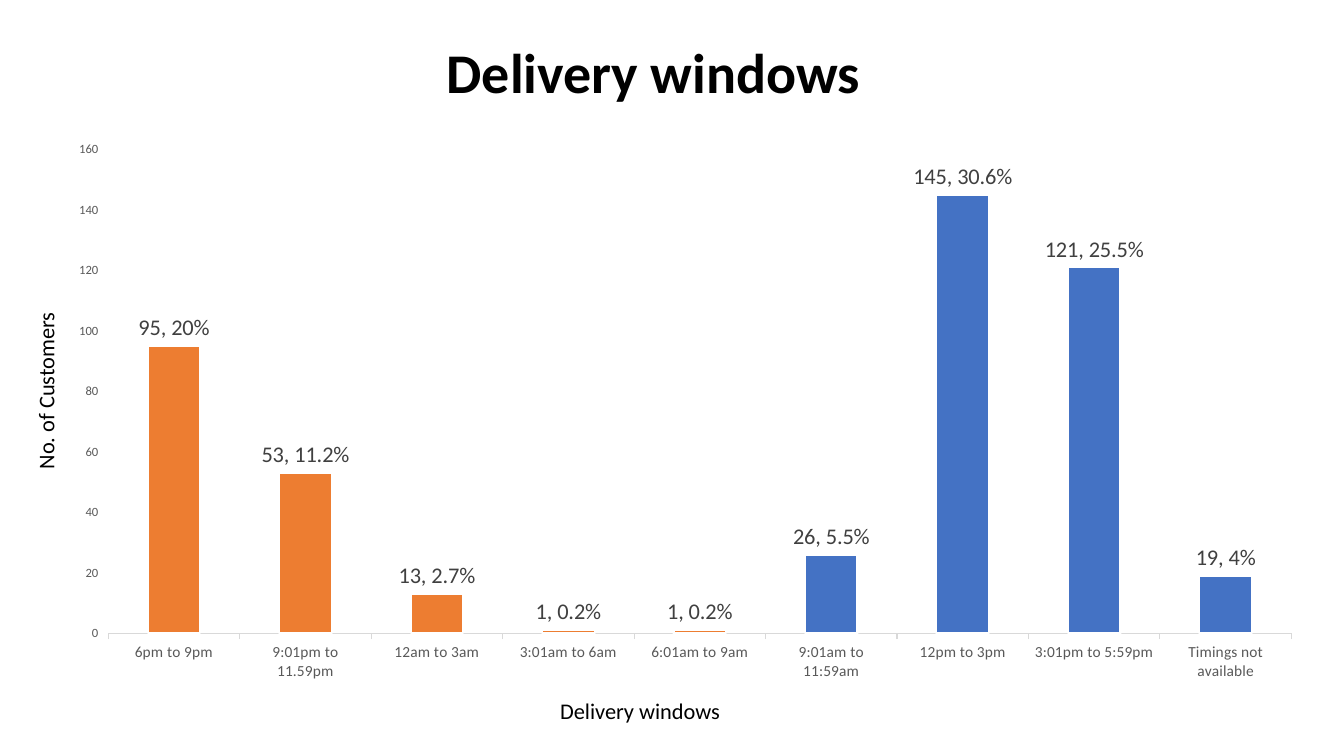
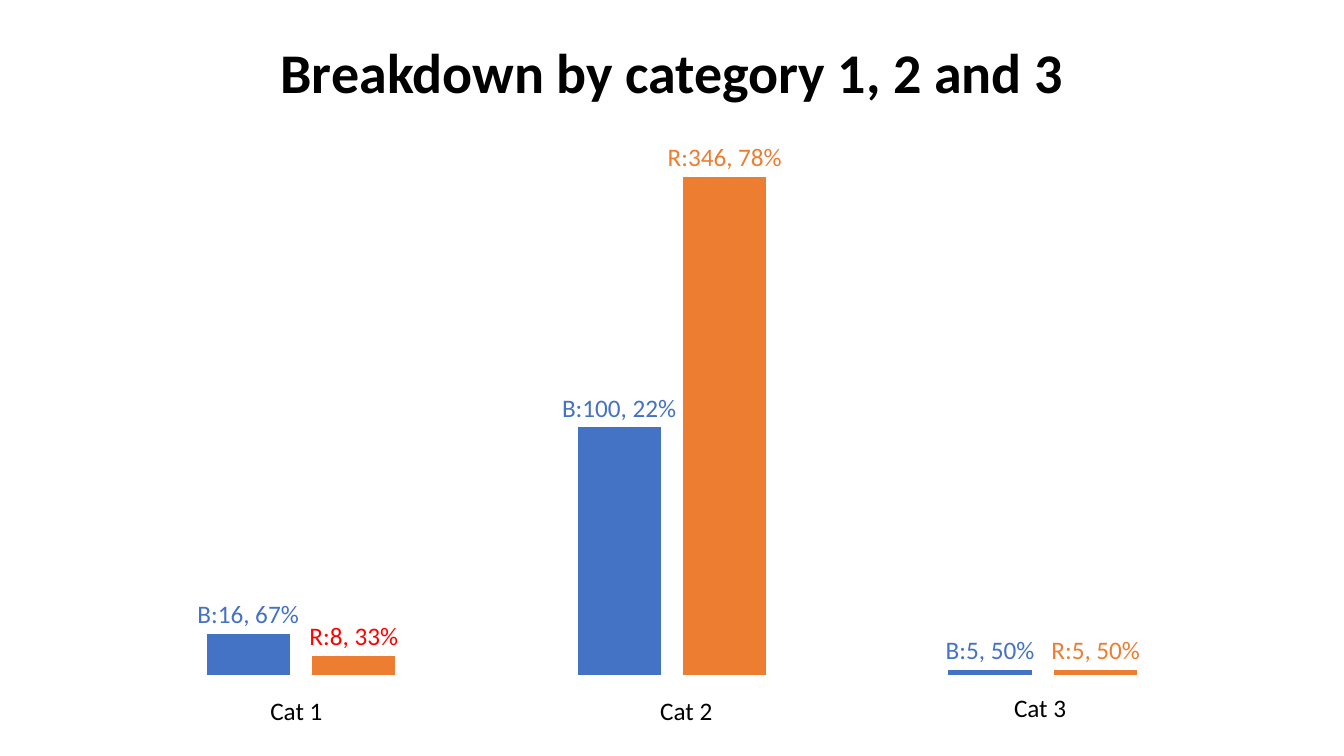
from pptx import Presentation
from pptx.chart.data import CategoryChartData
from pptx.dml.color import RGBColor
from pptx.enum.chart import XL_CHART_TYPE, XL_LABEL_POSITION, XL_TICK_MARK
from pptx.enum.text import MSO_ANCHOR, PP_ALIGN
from pptx.util import Pt

COLUMNS = XL_CHART_TYPE.COLUMN_CLUSTERED
OUTSIDE_END = XL_LABEL_POSITION.OUTSIDE_END
TICK_OUT = XL_TICK_MARK.OUTSIDE
TICK_NONE = XL_TICK_MARK.NONE
MIDDLE = MSO_ANCHOR.MIDDLE
CENTER = PP_ALIGN.CENTER

FONT = "Calibri"
COLORS = {
    name: RGBColor.from_string(value)
    for name, value in {
        "black": "000000", "white": "FFFFFF", "blue": "4472C4",
        "orange": "ED7D31", "red": "FF0000", "label": "404040",
        "tick": "595959", "axis": "D9D9D9",
    }.items()
}


def add_text(page, text, left, top, width, height, size, title=False):
    box = page.shapes.add_textbox(Pt(left), Pt(top), Pt(width), Pt(height))
    frame = box.text_frame
    frame.word_wrap = title
    para = frame.paragraphs[0]
    if title:
        frame.vertical_anchor = MIDDLE
        para.alignment = CENTER
        para.line_spacing = 0.9
    span = para.add_run()
    span.text = text
    span.font.name = FONT
    span.font.size = Pt(size)
    span.font.bold = title
    span.font.color.rgb = COLORS["black"]
    return box


def add_columns(page, place, categories, series_rows, gap, overlap, top_value, label_size):
    data = CategoryChartData()
    data.categories = categories
    for number, (values, *_) in enumerate(series_rows, 1):
        data.add_series(f"Series {number}", values)
    chart = page.shapes.add_chart(COLUMNS, *map(Pt, place), data).chart
    chart.has_legend = False
    chart.has_title = False
    chart.font.name = FONT
    chart.font.size = Pt(10)
    chart.font.color.rgb = COLORS["black"]
    value_axis = chart.value_axis
    value_axis.has_major_gridlines = False
    value_axis.minimum_scale = 0
    value_axis.maximum_scale = top_value
    plot = chart.plots[0]
    plot.gap_width = gap
    plot.overlap = overlap
    plot.vary_by_categories = False
    for series, (_, color, labels, label_colors) in zip(plot.series, series_rows):
        series.invert_if_negative = False
        series.format.fill.solid()
        series.format.fill.fore_color.rgb = COLORS[color]
        series_labels = series.data_labels
        series_labels.show_value = True
        series_labels.position = OUTSIDE_END
        series_labels.font.name = FONT
        series_labels.font.size = Pt(label_size)
        series_labels.font.color.rgb = COLORS["label"]
        for index, (text, label_color) in enumerate(zip(labels, label_colors)):
            label = series.points[index].data_label
            frame = label.text_frame
            frame.word_wrap = False
            span = frame.paragraphs[0].add_run()
            span.text = text
            span.font.name = FONT
            span.font.size = Pt(label_size)
            span.font.color.rgb = COLORS[label_color]
            label.position = OUTSIDE_END
    return chart


deck = Presentation()
deck.slide_width = Pt(960)
deck.slide_height = Pt(540)
blank = deck.slide_layouts[6]

page = deck.slides.add_slide(blank)
add_text(page, "Delivery windows", 66, 18, 801.5, 71.5, 40, title=True)
add_text(page, "No. of Customers", -31.5, 265, 128, 26.5, 16).rotation = 270
add_text(page, "Delivery windows", 393, 494.5, 130, 26.5, 16)

windows = [
    ("6pm to 9pm", 95, "20%"),
    ("9:01pm to 11.59pm", 53, "11.2%"),
    ("12am to 3am", 13, "2.7%"),
    ("3:01am to 6am", 1, "0.2%"),
    ("6:01am to 9am", 1, "0.2%"),
    ("9:01am to 11:59am", 26, "5.5%"),
    ("12pm to 3pm", 145, "30.6%"),
    ("3:01pm to 5:59pm", 121, "25.5%"),
    ("Timings not available", 19, "4%"),
]
names, customers, shares = zip(*windows)
labels = [f"{count}, {share}" for count, share in zip(customers, shares)]
chart = add_columns(
    page, (38.5, 93.5, 902, 401), names,
    [(customers, "blue", labels, ["label"] * len(windows))],
    gap=150, overlap=0, top_value=160, label_size=16,
)
series = chart.plots[0].series[0]
night_windows = 5
formats = [series.format] + [series.points[index].format for index in range(night_windows)]
for number, bar in enumerate(formats):
    bar.fill.solid()
    bar.fill.fore_color.rgb = COLORS["orange" if number else "blue"]
    bar.line.color.rgb = COLORS["white"]
    bar.line.width = Pt(1.5)

for axis, size in ((chart.category_axis, 11), (chart.value_axis, 9)):
    axis.major_tick_mark = TICK_OUT
    axis.minor_tick_mark = TICK_NONE
    font = axis.tick_labels.font
    font.name = FONT
    font.size = Pt(size)
    font.color.rgb = COLORS["tick"]
chart.category_axis.format.line.color.rgb = COLORS["axis"]
chart.category_axis.format.line.width = Pt(0.75)
chart.value_axis.format.line.fill.background()
chart.value_axis.major_unit = 20

page = deck.slides.add_slide(blank)
add_text(page, "Breakdown by category 1, 2 and 3", 66, 18, 828, 71.5, 40, title=True)
chart = add_columns(
    page, (66, 76.25, 828, 414.5), [1, 2, 3],
    [
        ((15, 89, 2), "blue", ("B:16, 67%", "B:100, 22%", "B:5, 50%"), ["blue"] * 3),
        ((7, 179, 2), "orange", ("R:8, 33%", "R:346, 78%", "R:5, 50%"),
         ("red", "orange", "orange")),
    ],
    gap=219, overlap=-27, top_value=200, label_size=18,
)
for axis in (chart.category_axis, chart.value_axis):
    axis.visible = False
for text, left, top in (("Cat 1", 186, 493), ("Cat 2", 464.5, 493), ("Cat 3", 717.25, 491)):
    add_text(page, text, left, top, 52.5, 29, 18)

deck.save("out.pptx")
